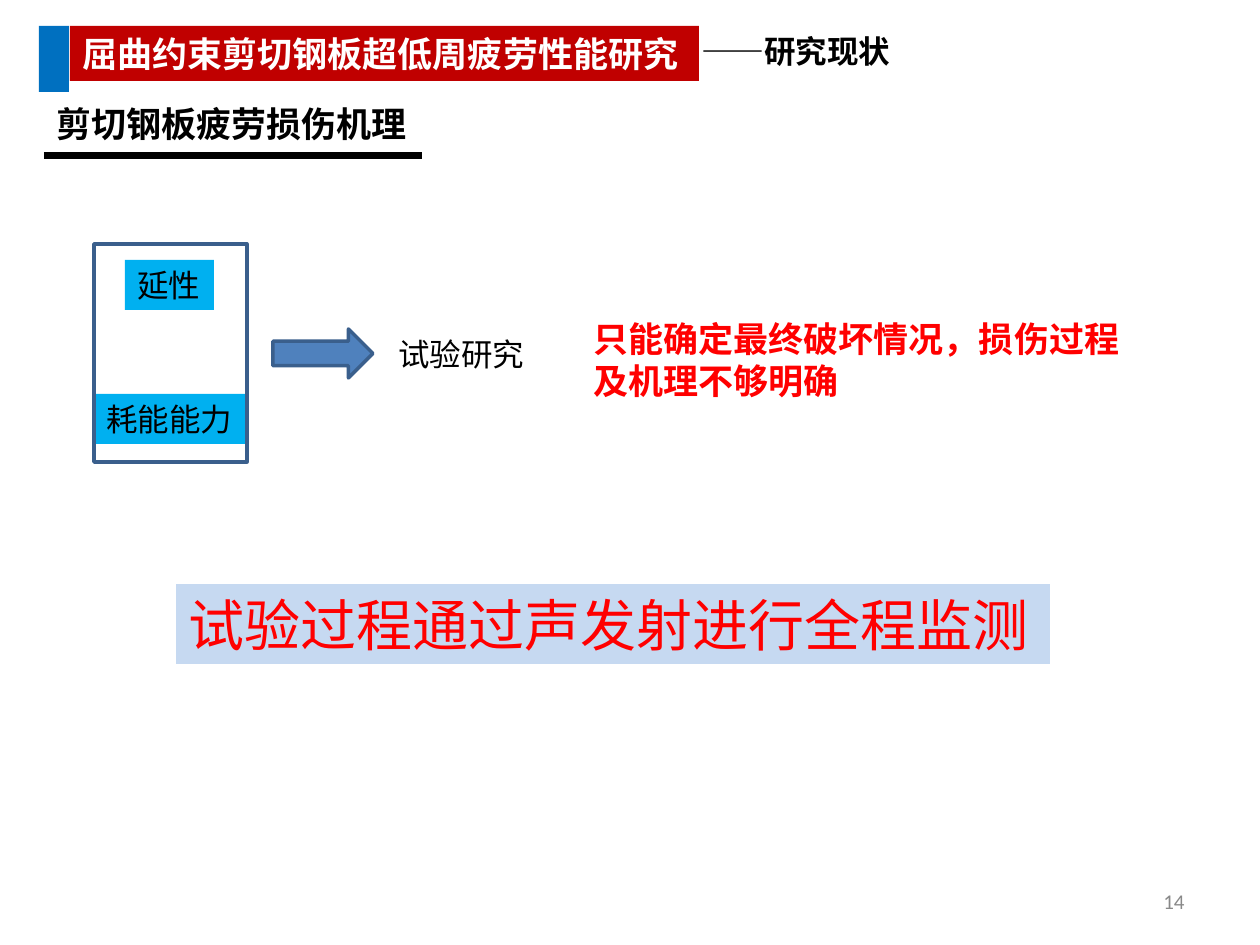
from lxml import etree
from pptx import Presentation, util as u
from pptx.dml.color import RGBColor
from pptx.enum import shapes as sh, text as tx
from pptx.oxml.ns import qn

SCALE = 914400 / 126
SANS = "Noto Sans CJK SC"
COLORS = {
    "white": "FFFFFF", "black": "000000", "red": "FF0000", "brick": "C00000",
    "blue": "0070C0", "sky": "00B0F0", "steel": "4F81BD", "edge": "3A5F8C",
    "pale": "C6D9F1", "gray": "898989",
}


def px(n):
    return u.Emu(round(n * SCALE))


def color(name):
    return RGBColor.from_string(COLORS[name])


def add_box(slide, at, fill=None, line=None, kind=sh.MSO_SHAPE.RECTANGLE):
    box = slide.shapes.add_shape(kind, *map(px, at))
    box.shadow.inherit = False
    if fill:
        box.fill.solid()
        box.fill.fore_color.rgb = color(fill)
    else:
        box.fill.background()
    if line:
        box.line.color.rgb = color(line)
        box.line.width = u.Pt(2)
    else:
        box.line.fill.background()
    return box


def add_text(slide, at, words, size, ink="black", font="Arial", bold=False,
             fill=None, wrap=False, align=tx.PP_ALIGN.LEFT,
             anchor=tx.MSO_ANCHOR.TOP):
    box = slide.shapes.add_textbox(*map(px, at))
    if fill:
        box.fill.solid()
        box.fill.fore_color.rgb = color(fill)
    frame = box.text_frame
    frame.text = words
    frame.word_wrap = wrap
    frame.vertical_anchor = anchor
    para = frame.paragraphs[0]
    para.alignment = align
    run = para.runs[0]
    run.font.name = font
    run.font.size = u.Pt(size)
    run.font.bold = bold
    run.font.color.rgb = color(ink)
    if font != "Calibri":
        etree.SubElement(run.font._element, qn("a:ea"), typeface=SANS)


def add_rule(slide, x1, x2, y):
    rule = slide.shapes.add_connector(
        sh.MSO_CONNECTOR.STRAIGHT, px(x1), px(y), px(x2), px(y))
    rule.line.color.rgb = color("black")
    rule.line.width = u.Pt(4)
    etree.SubElement(rule._element.spPr, qn("a:effectLst"))


def add_header(slide):
    add_text(slide, (70, 26, 629, 55), "屈曲约束剪切钢板超低周疲劳性能研究", 20,
             "white", SANS, True, "brick", True)
    add_box(slide, (39, 26, 30, 66), "blue")
    add_text(slide, (689, 26, 222, 50), "——研究现状", 18, font=SANS, bold=True)
    add_text(slide, (44, 96, 595, 55), "剪切钢板疲劳损伤机理", 20, bold=True,
             wrap=True)
    add_rule(slide, 44, 422, 156)


def add_flow(slide):
    add_text(slide, (125, 260, 89, 50), "延性", 18, fill="sky")
    add_text(slide, (94, 394, 153, 50), "耗能能力", 18, fill="sky")
    add_box(slide, (94, 244, 153, 218), line="edge")
    add_box(slide, (273, 329, 100, 49), "steel", "edge",
            sh.MSO_SHAPE.RIGHT_ARROW)
    add_text(slide, (386, 329, 153, 50), "试验研究", 18)
    add_text(slide, (581, 311, 576, 97),
             "只能确定最终破坏情况，损伤过程及机理不够明确", 20, "red",
             bold=True, wrap=True)


def main():
    deck = Presentation()
    deck.slide_width, deck.slide_height = px(1260), px(945)
    slide = deck.slides.add_slide(deck.slide_layouts[6])
    slide.background.fill.solid()
    slide.background.fill.fore_color.rgb = color("white")
    add_header(slide)
    add_flow(slide)
    add_text(slide, (176, 584, 874, 80), "试验过程通过声发射进行全程监测", 32,
             "red", SANS, fill="pale")
    add_text(slide, (903, 876, 294, 50), "14", 12, "gray", "Calibri",
             wrap=True, align=tx.PP_ALIGN.RIGHT, anchor=tx.MSO_ANCHOR.MIDDLE)
    deck.save("out.pptx")


if __name__ == "__main__":
    main()
